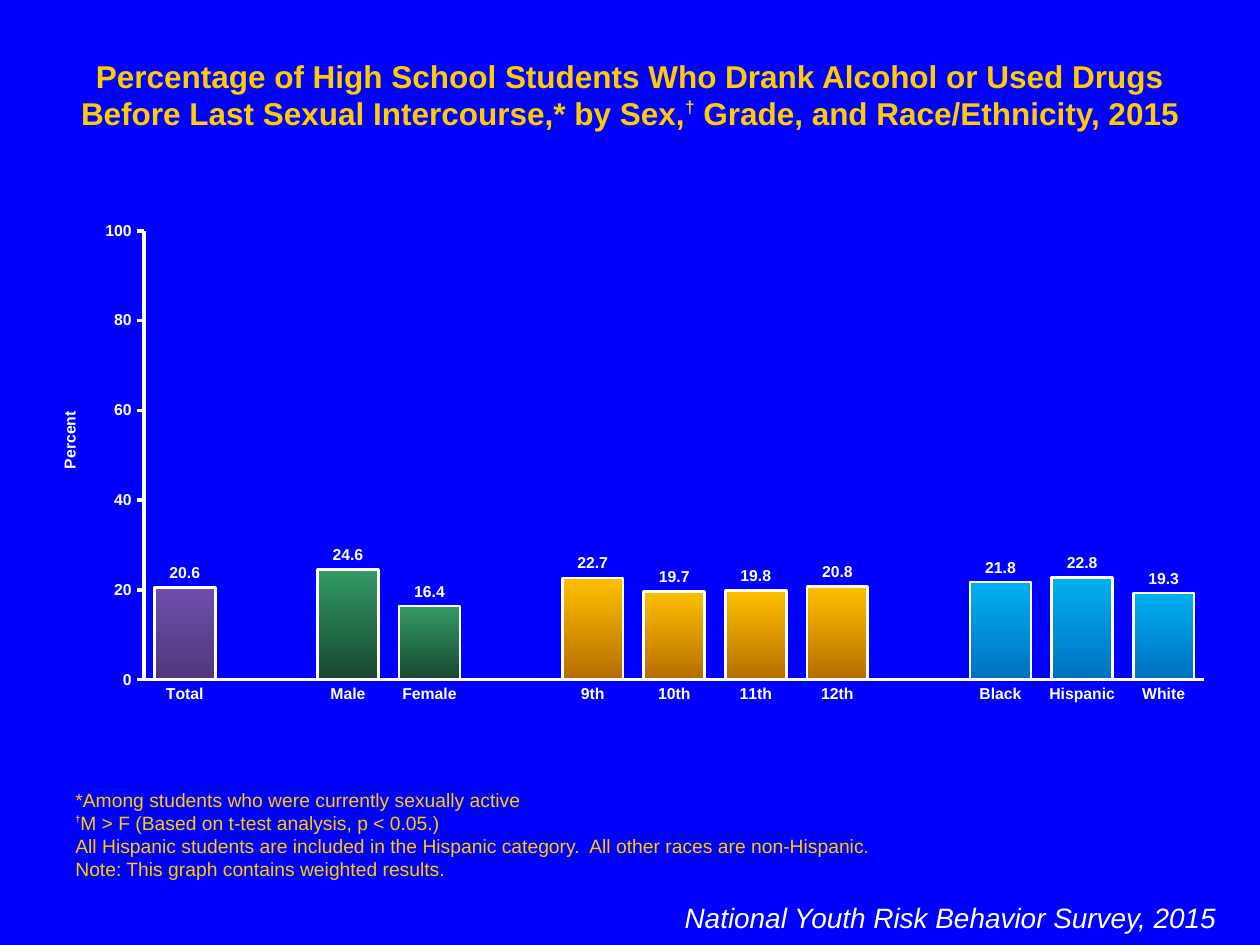
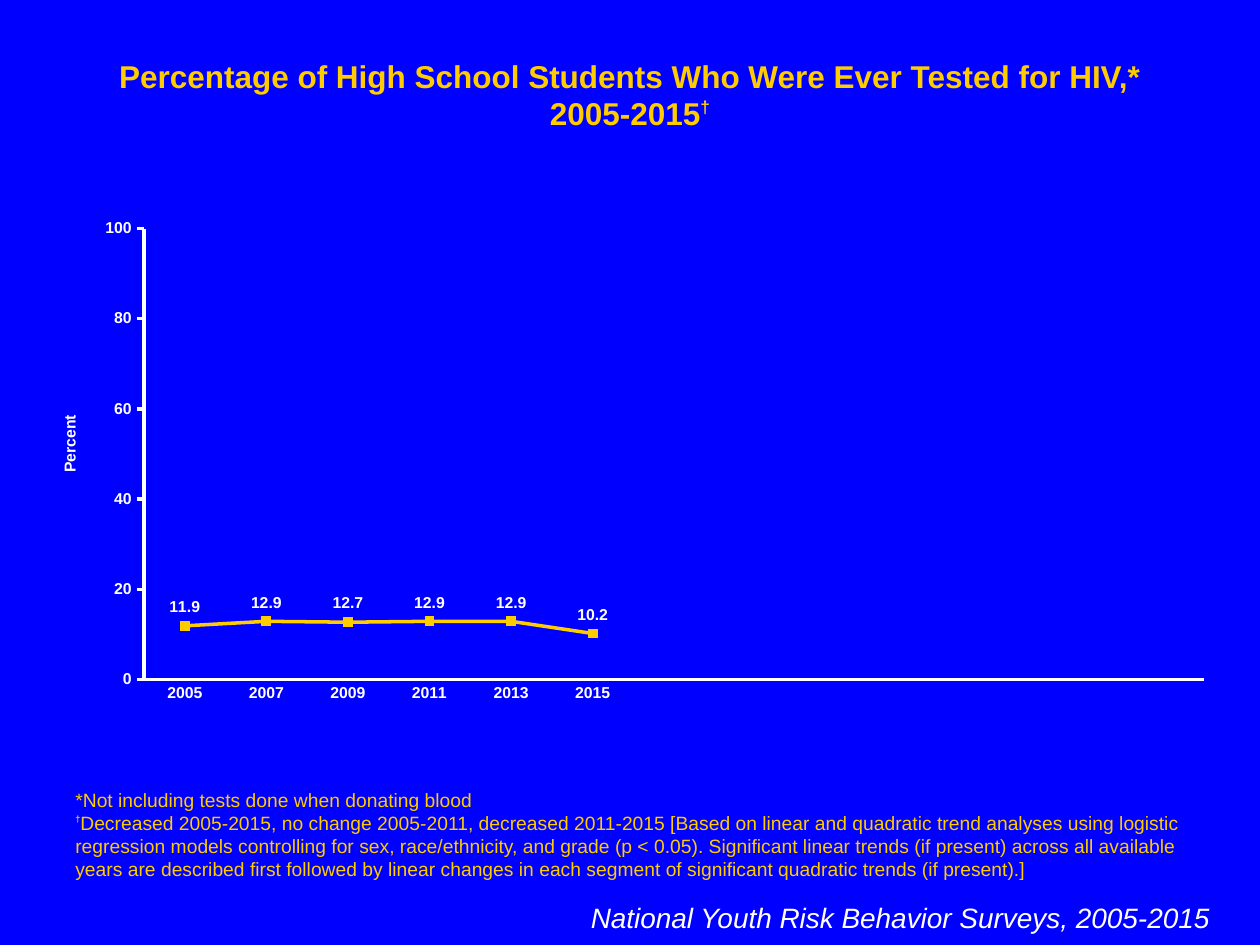
from lxml.etree import SubElement
from pptx import Presentation
from pptx.chart.data import CategoryChartData
from pptx.dml.color import RGBColor
from pptx.enum.chart import XL_CHART_TYPE, XL_LABEL_POSITION, XL_MARKER_STYLE, XL_TICK_MARK
from pptx.enum.text import MSO_ANCHOR, MSO_AUTO_SIZE, PP_ALIGN
from pptx.oxml.ns import qn
from pptx.util import Emu, Pt

BLUE = RGBColor(0x00, 0x00, 0xFF)
GOLD = RGBColor(0xFF, 0xCC, 0x00)
WHITE = RGBColor(0xFF, 0xFF, 0xFF)
PURPLE_FADE = (RGBColor(0x6E, 0x4E, 0xAE), RGBColor(0x4F, 0x38, 0x7C))
GREEN_FADE = (RGBColor(0x33, 0x99, 0x66), RGBColor(0x18, 0x47, 0x2F))
AMBER_FADE = (RGBColor(0xFF, 0xC0, 0x00), RGBColor(0xB6, 0x6D, 0x00))
SKY_FADE = (RGBColor(0x00, 0xB0, 0xF0), RGBColor(0x00, 0x70, 0xC0))

FONT = "Arial"
EMU_PER_PX = 9144
DAGGER = "†"
SLOTS = 13


def px(length):
    return Emu(length * EMU_PER_PX)


def set_layout(parent, position, **places):
    layout = parent.find(qn("c:layout"))
    if layout is None:
        layout = parent.makeelement(qn("c:layout"))
        parent.insert(position, layout)
    manual = SubElement(layout, qn("c:manualLayout"))
    if "w" in places:
        SubElement(manual, qn("c:layoutTarget")).set("val", "inner")
    for mode in ("xMode", "yMode"):
        SubElement(manual, qn("c:" + mode)).set("val", "edge")
    for name, value in places.items():
        SubElement(manual, qn("c:" + name)).set("val", str(value))


class SurveyDeck:
    def __init__(self):
        self.presentation = Presentation()
        self.presentation.slide_width = px(1000)
        self.presentation.slide_height = px(750)
        self.slide = None

    def add_slide(self):
        blank = self.presentation.slide_layouts[6]
        self.slide = self.presentation.slides.add_slide(blank)
        fill = self.slide.background.fill
        fill.solid()
        fill.fore_color.rgb = BLUE

    def style(self, font, size, color=WHITE, bold=False, italic=False):
        font.name = FONT
        font.size = Pt(size)
        font.color.rgb = color
        font.bold = bold
        font.italic = italic

    def add_text(self, box, paragraphs, size, color, align=PP_ALIGN.LEFT, anchor=MSO_ANCHOR.TOP,
                 bold=False, italic=False, dagger_size=9, dagger_rise=50):
        frame = self.slide.shapes.add_textbox(*map(px, box)).text_frame
        frame.word_wrap = True
        frame.auto_size = MSO_AUTO_SIZE.SHAPE_TO_FIT_TEXT
        frame.vertical_anchor = anchor
        for index, texts in enumerate(paragraphs):
            paragraph = frame.add_paragraph() if index else frame.paragraphs[0]
            paragraph.alignment = align
            for text in texts:
                run = paragraph.add_run()
                run.text = text
                if text == DAGGER:
                    self.style(run.font, dagger_size, color, True)
                    run._r.get_or_add_rPr().set("baseline", str(dagger_rise * 1000))
                else:
                    self.style(run.font, size, color, bold, italic)

    def add_title(self, *texts):
        self.add_text((50, 40, 900, 40), [texts], 18, GOLD, PP_ALIGN.CENTER,
                      bold=True, dagger_size=17, dagger_rise=40)

    def add_footnotes(self, *paragraphs):
        self.add_text((50, 675, 900, 29), paragraphs, 11, GOLD, anchor=MSO_ANCHOR.BOTTOM)

    def add_source(self, box, text):
        self.add_text(box, [[text]], 16, WHITE, PP_ALIGN.RIGHT, italic=True)

    def add_percent_chart(self, kind, box, categories, values, label_position, title_top):
        data = CategoryChartData(number_format="General")
        data.categories = categories
        data.add_series("Series 1", values)
        chart = self.slide.shapes.add_chart(kind, *map(px, box), data).chart
        chart.has_legend = False
        chart.has_title = False
        self.style(chart.font, 9, bold=True)
        set_layout(chart._chartSpace.chart.plotArea, 0, x=0.094, y=0.036, w=0.886, h=0.895)

        percent_axis = chart.value_axis
        crosses = percent_axis._element.find(qn("c:crosses"))
        if percent_axis._element.find(qn("c:crossBetween")) is None:
            between = crosses.makeelement(qn("c:crossBetween"))
            between.set("val", "between")
            crosses.addnext(between)
        percent_axis.minimum_scale = 0
        percent_axis.maximum_scale = 100
        percent_axis.major_unit = 20
        percent_axis.has_major_gridlines = False
        for axis, tick in ((chart.category_axis, XL_TICK_MARK.NONE),
                           (percent_axis, XL_TICK_MARK.OUTSIDE)):
            axis.major_tick_mark = tick
            axis.minor_tick_mark = XL_TICK_MARK.NONE
            axis.format.line.color.rgb = WHITE
            axis.format.line.width = Pt(2)
            self.style(axis.tick_labels.font, 9, bold=True)
        percent_axis.tick_labels.number_format = "#,##0"
        percent_axis.tick_labels.number_format_is_linked = False

        frame = percent_axis.axis_title.text_frame
        run = frame.paragraphs[0].add_run()
        run.text = "Percent"
        self.style(run.font, 9, bold=True)
        body = frame._txBody.find(qn("a:bodyPr"))
        body.set("rot", "-5400000")
        body.set("vert", "horz")
        set_layout(percent_axis.axis_title._element, 1, x=0.021, y=title_top)

        plot = chart.plots[0]
        plot.vary_by_categories = False
        series = plot.series[0]
        labels = series.data_labels
        labels.show_value = True
        labels.number_format = "#,##0.0"
        labels.number_format_is_linked = False
        labels.position = label_position
        self.style(labels.font, 9, bold=True)
        return plot, series

    def add_group_columns(self, box, groups):
        categories, values, fades = [], [], []
        for fade, bars in groups:
            if categories:
                bars = [("", None)] + bars
            for name, value in bars:
                categories.append(name)
                values.append(value)
                fades.append(fade)
        plot, series = self.add_percent_chart(XL_CHART_TYPE.COLUMN_CLUSTERED, box, categories,
                                              values, XL_LABEL_POSITION.OUTSIDE_END, 0.39)
        plot.gap_width = 34
        plot.overlap = 100
        for index, (value, fade) in enumerate(zip(values, fades)):
            if value is None:
                continue
            bar = series.points[index].format
            bar.fill.gradient()
            bar.fill.gradient_angle = 270
            for stop, color in zip(bar.fill.gradient_stops, fade):
                stop.color.rgb = color
            bar.line.color.rgb = WHITE
            bar.line.width = Pt(1.5)

    def add_trend_line(self, box, points):
        spare = SLOTS - len(points)
        plot, series = self.add_percent_chart(XL_CHART_TYPE.LINE_MARKERS, box,
                                              list(points) + [""] * spare,
                                              list(points.values()) + [None] * spare,
                                              XL_LABEL_POSITION.ABOVE, 0.4)
        series.smooth = False
        series.format.line.color.rgb = GOLD
        series.format.line.width = Pt(2)
        marker = series.marker
        marker.style = XL_MARKER_STYLE.SQUARE
        marker.size = 5
        marker.format.fill.solid()
        marker.format.fill.fore_color.rgb = GOLD
        marker.format.line.color.rgb = GOLD


def main():
    deck = SurveyDeck()

    deck.add_slide()
    deck.add_title("Percentage of High School Students Who Drank Alcohol or Used Drugs "
                   "Before Last Sexual Intercourse,* by Sex,",
                   DAGGER, " Grade, and Race/Ethnicity, 2015")
    deck.add_footnotes(
        ["*Among students who were currently sexually active"],
        [DAGGER, "M > F (Based on t-test analysis, p < 0.05.)"],
        ["All Hispanic students are included in the Hispanic category.  "
         "All other races are non-Hispanic."],
        ["Note: This graph contains weighted results."])
    deck.add_source((425, 710, 550, 64), "National Youth Risk Behavior Survey, 2015")
    deck.add_group_columns((25, 169, 950, 398), [
        (PURPLE_FADE, [("Total", 20.6)]),
        (GREEN_FADE, [("Male", 24.6), ("Female", 16.4)]),
        (AMBER_FADE, [("9th", 22.7), ("10th", 19.7), ("11th", 19.8), ("12th", 20.8)]),
        (SKY_FADE, [("Black", 21.8), ("Hispanic", 22.8), ("White", 19.3)]),
    ])

    deck.add_slide()
    deck.add_title("Percentage of High School Students Who Were Ever Tested for HIV,* 2005-2015",
                   DAGGER)
    deck.add_footnotes(
        ["*Not including tests done when donating blood"],
        [DAGGER, "Decreased 2005-2015, no change 2005-2011, decreased 2011-2015 "
         "[Based on linear and quadratic trend analyses using logistic regression models "
         "controlling for sex, race/ethnicity, and grade (p < 0.05). Significant linear trends "
         "(if present) across all available years are described first followed by linear "
         "changes in each segment of significant quadratic trends (if present).]"])
    deck.add_source((453, 710, 517, 37), "National Youth Risk Behavior Surveys, 2005-2015")
    deck.add_trend_line((25, 167, 950, 400), {
        "2005": 11.9, "2007": 12.9, "2009": 12.7, "2011": 12.9, "2013": 12.9, "2015": 10.2})

    deck.presentation.save("out.pptx")


if __name__ == "__main__":
    main()
